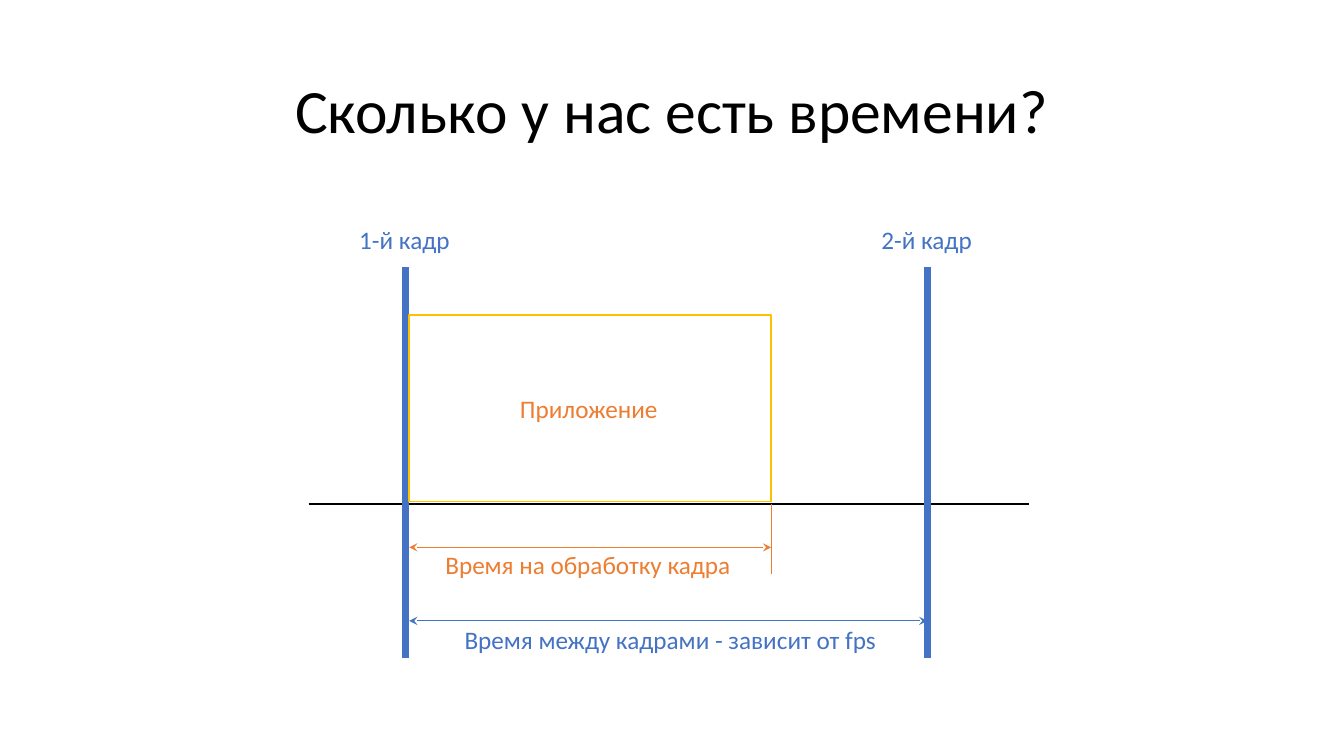
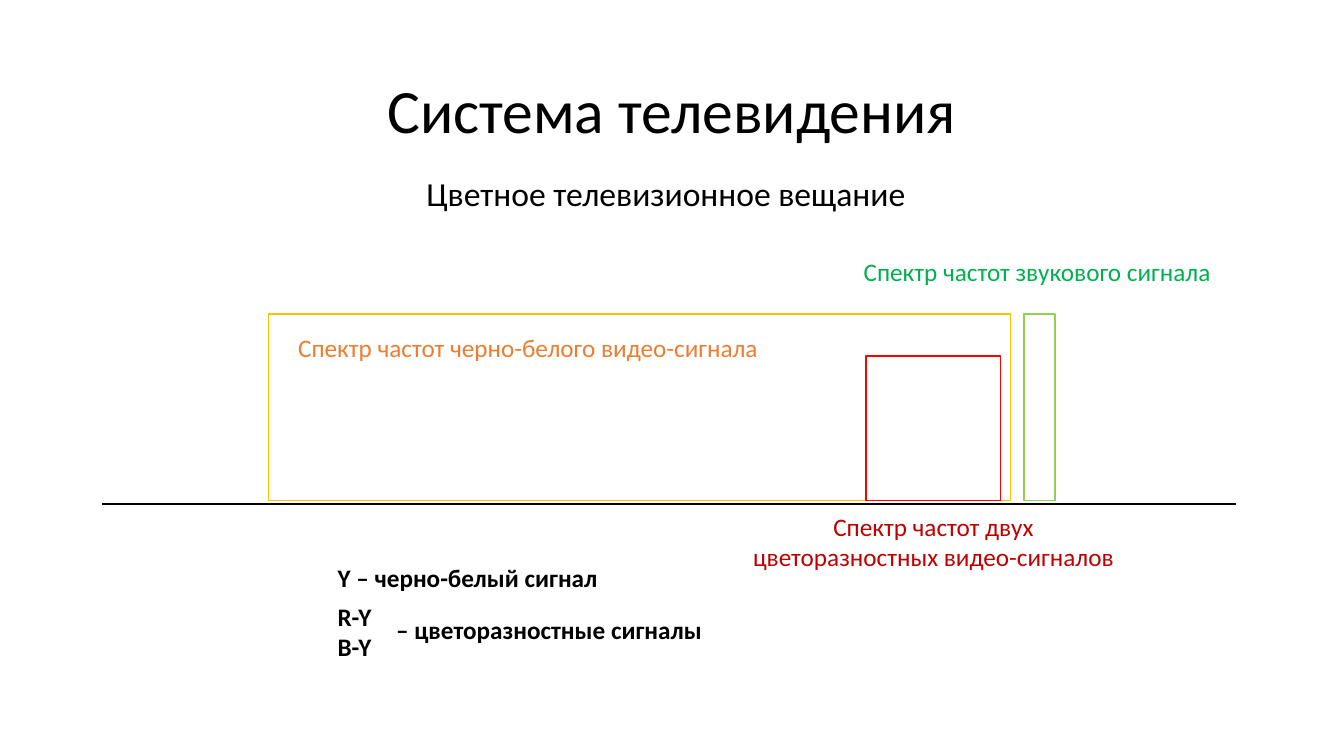
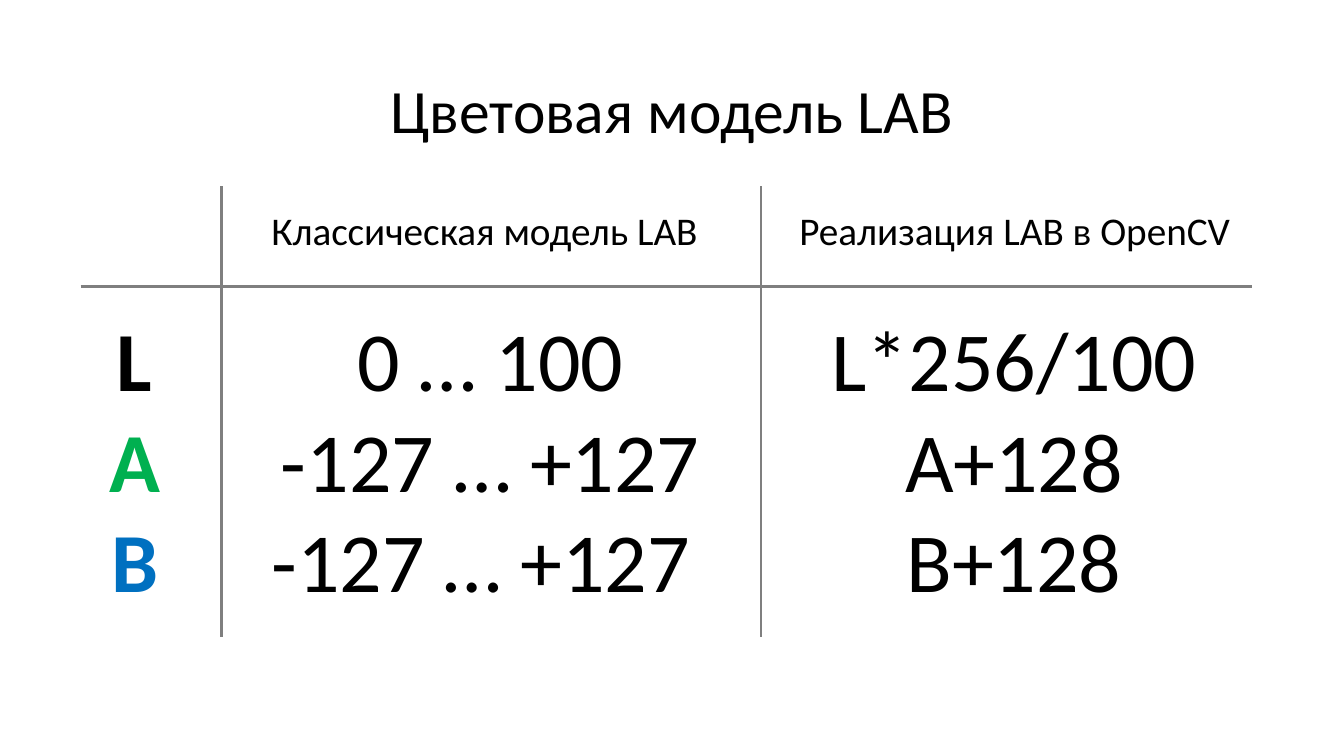
from itertools import cycle

from lxml.etree import SubElement
from pptx import Presentation
from pptx.dml.color import RGBColor
from pptx.enum.shapes import MSO_CONNECTOR, MSO_SHAPE
from pptx.enum.text import MSO_ANCHOR, PP_ALIGN
from pptx.oxml.ns import qn
from pptx.util import Inches, Pt

WIDTH, HEIGHT = Inches(40 / 3), Inches(7.5)
FONT = "Calibri"
BLACK, WHITE, GRAY = "000000", "FFFFFF", "7F7F7F"
BLUE, ORANGE, GOLD = "4472C4", "ED7D31", "FFC000"
GREEN, LIME, RED, DARK_RED, SKY = "00B050", "92D050", "FF0000", "C00000", "0070C0"
AXIS_Y = 66.67


def across(percent):
    return round(WIDTH * percent / 100)


def down(percent):
    return round(HEIGHT * percent / 100)


def rgb(color):
    return RGBColor.from_string(color)


def add_run(paragraph, text, size, color=BLACK, bold=False):
    run = paragraph.add_run()
    run.text = text
    run.font.name, run.font.size, run.font.bold = FONT, Pt(size), bold
    run.font.color.rgb = rgb(color)


def add_titled_slide(deck, title):
    slide = deck.slides.add_slide(deck.slide_layouts[5])
    heading = slide.shapes.title.text_frame
    heading.vertical_anchor = MSO_ANCHOR.MIDDLE
    paragraph = heading.paragraphs[0]
    paragraph.alignment = PP_ALIGN.CENTER
    paragraph.line_spacing = 0.9
    add_run(paragraph, title, 44)
    return slide


def add_label(slide, left, top, width, lines, colors=(BLACK,), size=18,
              bold=False, align=PP_ALIGN.LEFT, first_gap=0):
    height = Pt(7.2 + 1.22 * size * len(lines) + first_gap)
    label = slide.shapes.add_textbox(across(left), down(top), across(width), height)
    frame = label.text_frame
    frame.word_wrap = True
    for index, (text, color) in enumerate(zip(lines, cycle(colors))):
        paragraph = frame.add_paragraph() if index else frame.paragraphs[0]
        paragraph.alignment = align
        if index == 1:
            paragraph.space_before = Pt(first_gap)
        add_run(paragraph, text, size, color, bold)


def add_box(slide, left, top, width, height, outline):
    box = slide.shapes.add_shape(
        MSO_SHAPE.RECTANGLE, across(left), down(top), across(width), down(height))
    box.shadow.inherit = False
    box.fill.solid()
    box.fill.fore_color.rgb = rgb(WHITE)
    box.line.color.rgb = rgb(outline)
    box.line.width = Pt(1)


def add_line(slide, start, end, color, weight, arrows=False):
    (x1, y1), (x2, y2) = start, end
    line = slide.shapes.add_connector(
        MSO_CONNECTOR.STRAIGHT, across(x1), down(y1), across(x2), down(y2))
    line.line.color.rgb = rgb(color)
    line.line.width = Pt(weight)
    properties = line.element.spPr
    if arrows:
        for tip in ("a:headEnd", "a:tailEnd"):
            SubElement(properties.find(qn("a:ln")), qn(tip), type="stealth")
    SubElement(properties, qn("a:effectLst"))


def build_frame_time(deck):
    slide = add_titled_slide(deck, "Сколько у нас есть времени?")
    first_frame, second_frame = 30.15, 69
    app_start, app_end = 30.45, 57.38
    add_line(slide, (22.97, AXIS_Y), (76.58, AXIS_Y), BLACK, 2)
    for x, name in ((first_frame, "1-й кадр"), (second_frame, "2-й кадр")):
        add_line(slide, (x, 35.33), (x, 87.07), BLUE, 5)
        add_label(slide, x - 4.16, 28.97, 8.35, [name], [BLUE])
    add_box(slide, app_start, 41.68, app_end - app_start, 24.7, GOLD)
    add_line(slide, (app_end, AXIS_Y), (app_end, 75.87), ORANGE, 0.75)
    for end, y, color in ((app_end, 72.4, ORANGE), (second_frame, 82.13, BLUE)):
        add_line(slide, (app_start, y), (end, y), color, 0.75, arrows=True)
    add_label(slide, 37.95, 51.33, 11.85, ["Приложение"], [ORANGE])
    add_label(slide, 32.4, 72, 22.95, ["Время на обработку кадра"], [ORANGE])
    add_label(slide, 33.83, 81.95, 32.55,
              ["Время между кадрами - зависит от fps"], [BLUE])


def build_television(deck):
    slide = add_titled_slide(deck, "Система телевидения")
    add_line(slide, (7.58, AXIS_Y), (91.95, AXIS_Y), BLACK, 2)
    spectrum_bottom = 66.24
    for left, top, width, outline in ((20, 41.56, 55.2, GOLD),
                                      (76.18, 41.56, 2.33, LIME),
                                      (64.45, 47.07, 9.98, RED)):
        add_box(slide, left, top, width, spectrum_bottom - top, outline)
    add_label(slide, 30.98, 22.27, 37.58, ["Цветное телевизионное вещание"], size=24)
    add_label(slide, 21.45, 43.25, 36.15,
              ["Спектр частот черно-белого видео-сигнала"], [ORANGE])
    add_label(slide, 63.53, 33.2, 27.68, ["Спектр частот звукового сигнала"], [GREEN])
    add_label(slide, 55.13, 66.93, 28.65,
              ["Спектр частот двух", "цветоразностных видео-сигналов"],
              [DARK_RED], align=PP_ALIGN.CENTER)
    add_label(slide, 24.38, 73.78, 30.75, ["Y – черно-белый сигнал", "R-Y", "B-Y"],
              bold=True, first_gap=6)
    add_label(slide, 28.73, 80.62, 24.6, ["– цветоразностные сигналы"], bold=True)


def build_lab_model(deck):
    slide = add_titled_slide(deck, "Цветовая модель LAB")
    for left, width, values, colors, bold in (
            (7.35, 5.33, ("L", "A", "B"), (BLACK, GREEN, SKY), True),
            (19.35, 34.28, ("0 … 100", "-127 … +127", "-127 … +127 "), (BLACK,), False),
            (60.08, 30.75, ("L*256/100", "A+128", "B+128"), (BLACK,), False)):
        add_label(slide, left, 40, width, values, colors, 60, bold, PP_ALIGN.CENTER)
    for left, heading in ((18.9, "Классическая модель LAB"),
                          (58.35, "Реализация LAB в OpenCV")):
        add_label(slide, left, 26.67, 34.28, [heading], size=28, align=PP_ALIGN.CENTER)
    add_line(slide, (6, 37.87), (93.15, 37.87), GRAY, 2)
    for x in (16.5, 56.63):
        add_line(slide, (x, 24.67), (x, 84.27), GRAY, 2)


def main():
    deck = Presentation()
    deck.slide_width, deck.slide_height = WIDTH, HEIGHT
    title = deck.slide_layouts[5].placeholders[0]
    title.left, title.top = across(6.88), down(5.33)
    title.width, title.height = across(86.25), down(19.33)
    build_frame_time(deck)
    build_television(deck)
    build_lab_model(deck)
    deck.save("out.pptx")


if __name__ == "__main__":
    main()
